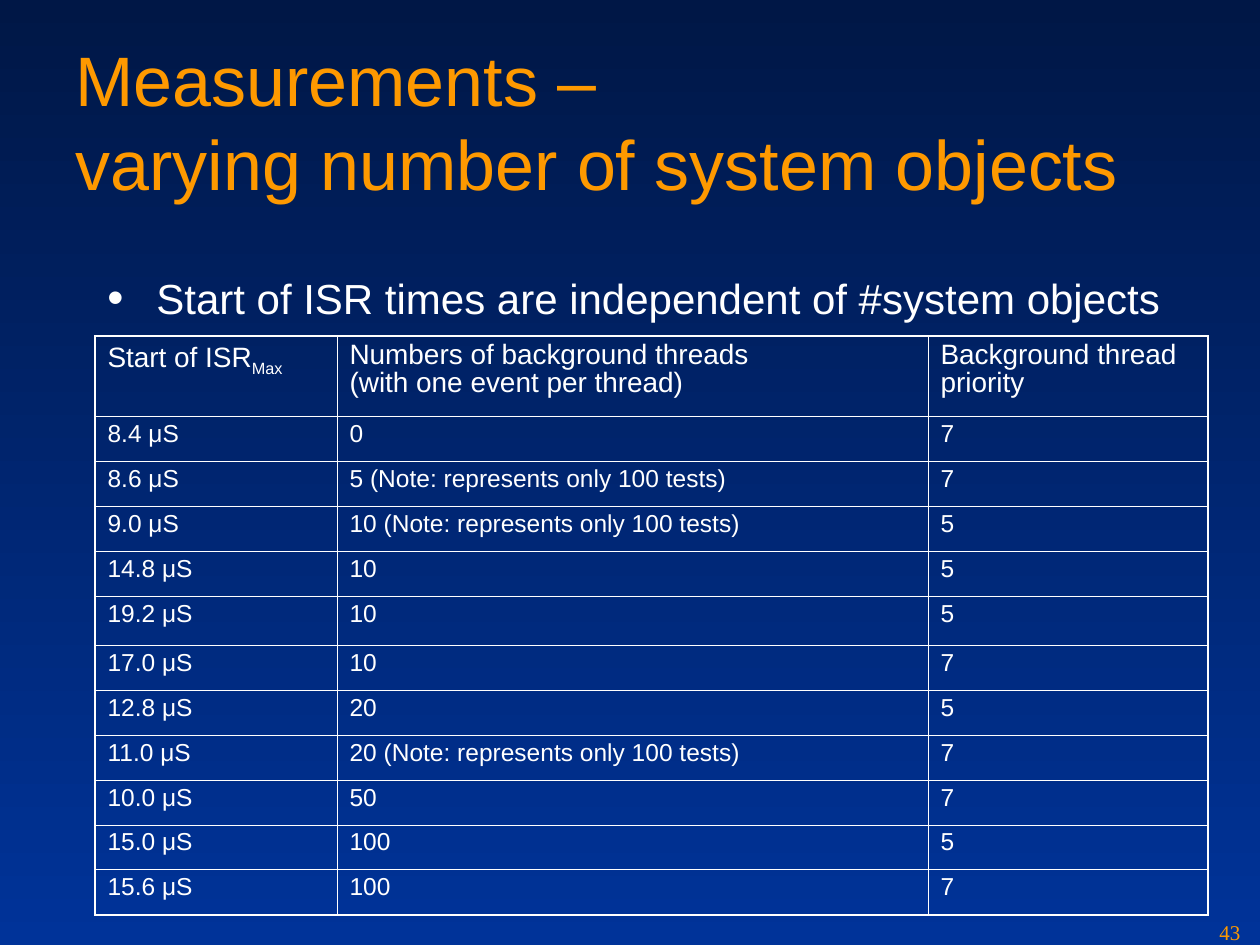
from lxml.etree import SubElement
from pptx import Presentation
from pptx.dml.color import RGBColor
from pptx.enum.text import MSO_ANCHOR, MSO_AUTO_SIZE, PP_ALIGN
from pptx.oxml.ns import qn
from pptx.util import Pt

SCALE = 914400 / 126
WHITE, ORANGE = "FFFFFF", "FE9900"
HEADS = ["Start of ISR", "Numbers of background threads \v(with one event per thread)",
         "Background thread priority"]
NOTE = " (Note: represents only 100 tests)"
TESTS = [("8.4", "0", 7), ("8.6", "5" + NOTE, 7), ("9.0", "10" + NOTE, 5),
         ("14.8", "10", 5), ("19.2", "10", 5), ("17.0", "10", 7),
         ("12.8", "20", 5), ("11.0", "20" + NOTE, 7), ("10.0", "50", 7),
         ("15.0", "100", 5), ("15.6", "100", 7)]


def px(n):
    return round(n * SCALE)


def color(code):
    return RGBColor.from_string(code)


class Deck:
    def __init__(self, wide, high):
        self.prs = Presentation()
        self.prs.slide_width, self.prs.slide_height = px(wide), px(high)
        self.slide = self.prs.slides.add_slide(self.prs.slide_layouts[5])

    def back(self, top, base):
        fill = self.slide.background.fill
        fill.gradient()
        fill.gradient_angle = 270
        for stop, code, pos in zip(fill.gradient_stops, (top, base), (0, 1)):
            stop.color.rgb, stop.position = color(code), pos

    def style(self, para, size, code, face="Arial"):
        font = para.font
        font.size, font.name, font.color.rgb = Pt(size), face, color(code)

    def fit(self, shape, words):
        frame = shape.text_frame
        frame.word_wrap = True
        frame.auto_size = MSO_AUTO_SIZE.NONE
        frame.vertical_anchor = MSO_ANCHOR.TOP
        para = frame.paragraphs[0]
        para.text = words
        para.alignment = PP_ALIGN.LEFT
        return para

    def title(self, words, x, y, w, h):
        shape = self.slide.shapes.title
        shape.left, shape.top, shape.width, shape.height = map(px, (x, y, w, h))
        self.style(self.fit(shape, words), 40, ORANGE)

    def text(self, words, x, y, w, h, size, code, face="Arial", inset=6, bullet=False):
        box = self.slide.shapes.add_textbox(*map(px, (x, y, w, h)))
        para = self.fit(box, words)
        box.text_frame.margin_top = px(inset)
        if bullet:
            self.bullet(para)
        self.style(para, size, code, face)

    def bullet(self, para):
        props = para._p.get_or_add_pPr()
        props.set("marL", str(px(49)))
        props.set("indent", str(px(-49)))
        tint = SubElement(props, qn("a:buClr"))
        SubElement(tint, qn("a:srgbClr"), val=WHITE)
        SubElement(props, qn("a:buSzPct"), val="110000")
        SubElement(props, qn("a:buFont"), typeface="Arial")
        SubElement(props, qn("a:buChar"), char="•")

    def edge(self, cell, outer):
        props = cell._tc.get_or_add_tcPr()
        for i, (side, thick) in enumerate(outer.items()):
            line = SubElement(props, qn("a:ln" + side), w=str(Pt(1.08 if thick else 0.45)))
            fill = SubElement(line, qn("a:solidFill"))
            SubElement(fill, qn("a:srgbClr"), val=WHITE)
            props.remove(line)
            props.insert(i, line)

    def table(self, data, x, y, cols, rows):
        frame = self.slide.shapes.add_table(
            len(rows), len(cols), px(x), px(y), px(sum(cols)), px(sum(rows)))
        grid = frame.table
        grid.first_row = grid.horz_banding = False
        for col, w in zip(grid.columns, cols):
            col.width = px(w)
        for r, (row, h) in enumerate(zip(data, rows)):
            grid.rows[r].height = px(h)
            for c, words in enumerate(row):
                cell = grid.cell(r, c)
                cell.fill.background()
                self.edge(cell, {"L": c == 0, "R": c == len(cols) - 1,
                                 "T": r == 0, "B": r == len(rows) - 1})
                para = cell.text_frame.paragraphs[0]
                para.text = words
                para.line_spacing = 0.9
                self.style(para, 14 if r else 16, WHITE)
        return grid

    def sub(self, cell, words):
        run = cell.text_frame.paragraphs[0].add_run()
        run.text = words
        run.font._element.set("baseline", "-25000")


def main():
    deck = Deck(1260, 945)
    deck.back("001746", "003399")

    # Heading and main point
    deck.title("Measurements – \vvarying number of system objects", 63, 30, 1134, 158)
    deck.text("Start of ISR times are independent of #system objects",
              95, 262, 1113, 73, 24, WHITE, inset=10, bullet=True)

    # Measured times
    data = [HEADS] + [(f"{time} μS", count, str(rank)) for time, count, rank in TESTS]
    rows = [80] + [45] * 4 + [49] + [45] * 6
    grid = deck.table(data, 95, 336, [242, 591, 280], rows)
    deck.sub(grid.cell(0, 0), "Max")

    # Page number
    deck.text("43", 1207, 914, 53, 31, 12, ORANGE, "Times New Roman")
    deck.prs.save("out.pptx")


if __name__ == "__main__":
    main()
